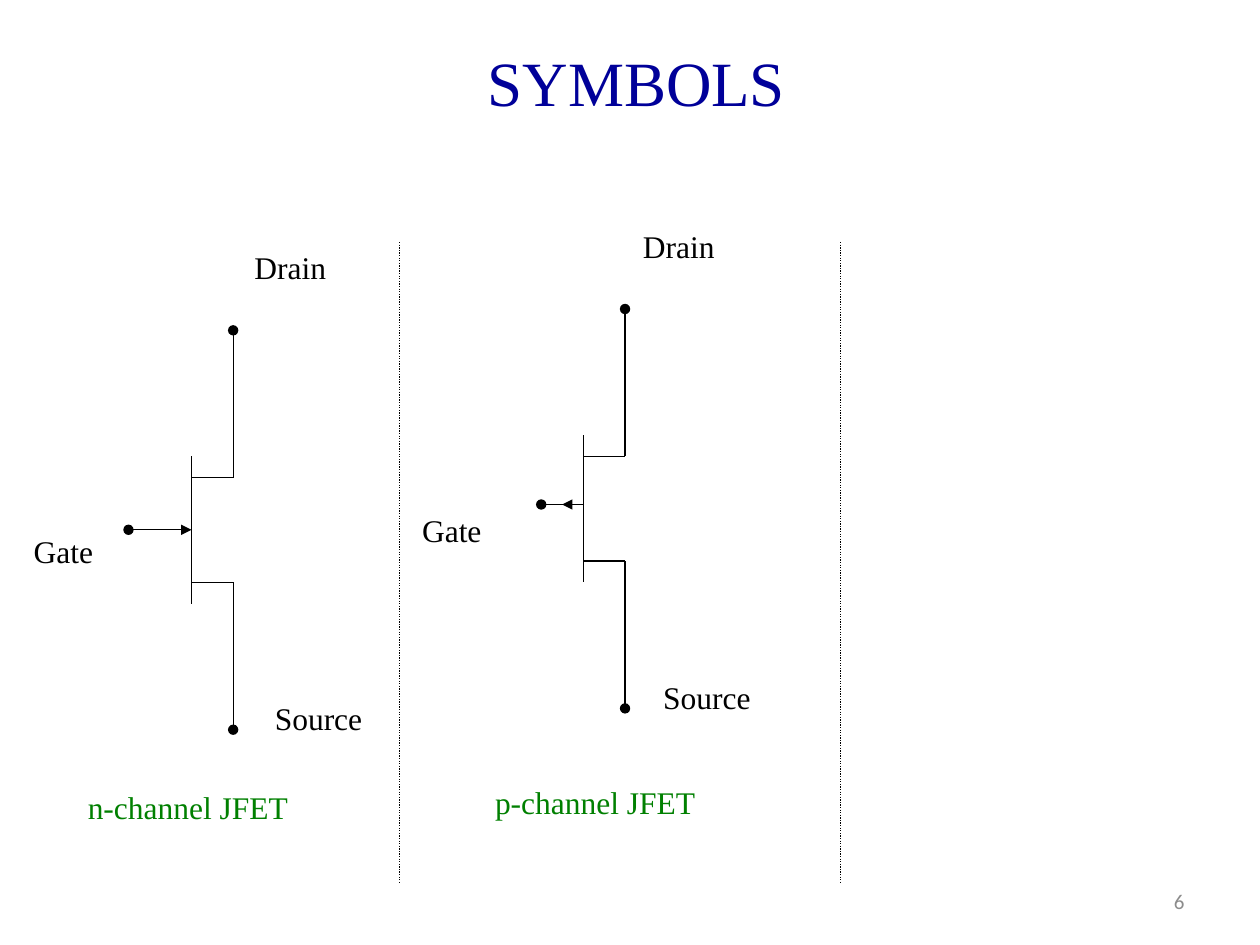
from dataclasses import dataclass

from lxml import etree
from pptx import Presentation
from pptx.dml.color import RGBColor
from pptx.enum.dml import MSO_LINE
from pptx.enum.shapes import MSO_CONNECTOR
from pptx.enum.text import MSO_ANCHOR, MSO_AUTO_SIZE, PP_ALIGN
from pptx.oxml.ns import qn
from pptx.util import Cm, Pt

STRAIGHT = MSO_CONNECTOR.STRAIGHT
DOTTED = MSO_LINE.ROUND_DOT
GROW = MSO_AUTO_SIZE.SHAPE_TO_FIT_TEXT
MIDDLE = MSO_ANCHOR.MIDDLE
RIGHT = PP_ALIGN.RIGHT


@dataclass(frozen=True)
class Theme:
    ink: RGBColor = RGBColor(0x00, 0x00, 0x00)
    title: RGBColor = RGBColor(0x00, 0x00, 0x99)
    caption: RGBColor = RGBColor(0x00, 0x80, 0x00)
    muted: RGBColor = RGBColor(0x8C, 0x8C, 0x8C)
    serif: str = "Times New Roman"
    sans: str = "Calibri"
    title_size: int = 36
    body_size: int = 18
    number_size: int = 12
    line_width: float = 0.75


THEME = Theme()


@dataclass(frozen=True)
class Box:
    """A region in centimetres."""
    left: float
    top: float
    width: float
    height: float


def add_line(shapes, start, end, head=None, tail=None, dash=None):
    line = shapes.add_connector(STRAIGHT, *(Cm(value) for value in (*start, *end)))
    line.line.color.rgb = THEME.ink
    line.line.width = Pt(THEME.line_width)
    if dash:
        line.line.dash_style = dash
    outline = line.line._get_or_add_ln()
    for tag, kind in (("a:headEnd", head), ("a:tailEnd", tail)):
        if kind:
            etree.SubElement(outline, qn(tag), type=kind)
    etree.SubElement(line._element.spPr, qn("a:effectLst"))


def add_text(shapes, box, text, size=THEME.body_size, color=THEME.ink, face=THEME.serif):
    shape = shapes.add_textbox(Cm(box.left), Cm(box.top), Cm(box.width), Cm(box.height))
    frame = shape.text_frame
    frame.word_wrap = False
    frame.auto_size = GROW
    para = frame.paragraphs[0]
    para.text = text
    para.font.size = Pt(size)
    para.font.name = face
    para.font.color.rgb = color
    return frame


def add_transistor(page, box, channel_offset, gate_offset, gate_length, gate_arrows):
    """Draw a labelled JFET; gate_arrows lists (start, end, head, tail) along the gate."""
    shapes = page.shapes.add_group_shape().shapes
    stub, inset, lead, bar = 0.84, 0.43, 2.97, 2.97
    x, top = box.left + channel_offset, box.top + 4.32
    bottom = top + bar
    terminal = x + stub
    drain, source = top + inset, bottom - inset

    add_line(shapes, (x, top), (x, bottom))
    for y in (drain, source):
        add_line(shapes, (x, y), (terminal, y))
    add_line(shapes, (terminal, drain - lead), (terminal, drain), head="oval")
    add_line(shapes, (terminal, source), (terminal, source + lead), tail="oval")

    gate_y, gate_x = top + gate_offset, x - gate_length
    for start, end, head, tail in gate_arrows:
        add_line(shapes, (gate_x + start, gate_y), (gate_x + end, gate_y), head, tail)

    for text, dx, dy, width in (("Gate", 0, 5.72, 2.11), ("Drain", 4.45, 0, 2.44),
                                ("Source", 4.86, 9.09, 2.87)):
        add_text(shapes, Box(box.left + dx, box.top + dy, width, 1.27), text)


def add_page_number(page, box, number):
    frame = add_text(page.shapes, box, number, THEME.number_size, THEME.muted, THEME.sans)
    frame.auto_size = MSO_AUTO_SIZE.NONE
    frame.word_wrap = True
    frame.vertical_anchor = MIDDLE
    frame.paragraphs[0].alignment = RIGHT


def main():
    deck = Presentation()
    deck.slide_width, deck.slide_height = Cm(25.4), Cm(19.05)
    page = deck.slides.add_slide(deck.slide_layouts[6])

    add_text(page.shapes, Box(9.58, 0.76, 6.5, 1.78), "SYMBOLS",
             THEME.title_size, THEME.title)
    add_transistor(page, Box(0.43, 4.88, 7.72, 10.36), channel_offset=3.43,
                   gate_offset=1.48, gate_length=1.27,
                   gate_arrows=[(0, 1.27, "oval", "triangle")])
    add_transistor(page, Box(8.26, 4.45, 7.72, 10.36), channel_offset=3.5,
                   gate_offset=1.4, gate_length=0.85,
                   gate_arrows=[(0.42, 0.63, "triangle", None), (0, 0.85, "oval", None)])
    for text, box in (("n-channel JFET", Box(1.52, 15.77, 5.89, 1.27)),
                      ("p-channel JFET", Box(9.73, 15.67, 4.6, 1.02))):
        add_text(page.shapes, box, text, color=THEME.caption)
    for x in (8.05, 16.94):
        add_line(page.shapes, (x, 4.88), (x, 17.78), dash=DOTTED)
    add_page_number(page, Box(18.21, 17.65, 5.92, 1.02), "6")

    deck.save("out.pptx")


if __name__ == "__main__":
    main()
